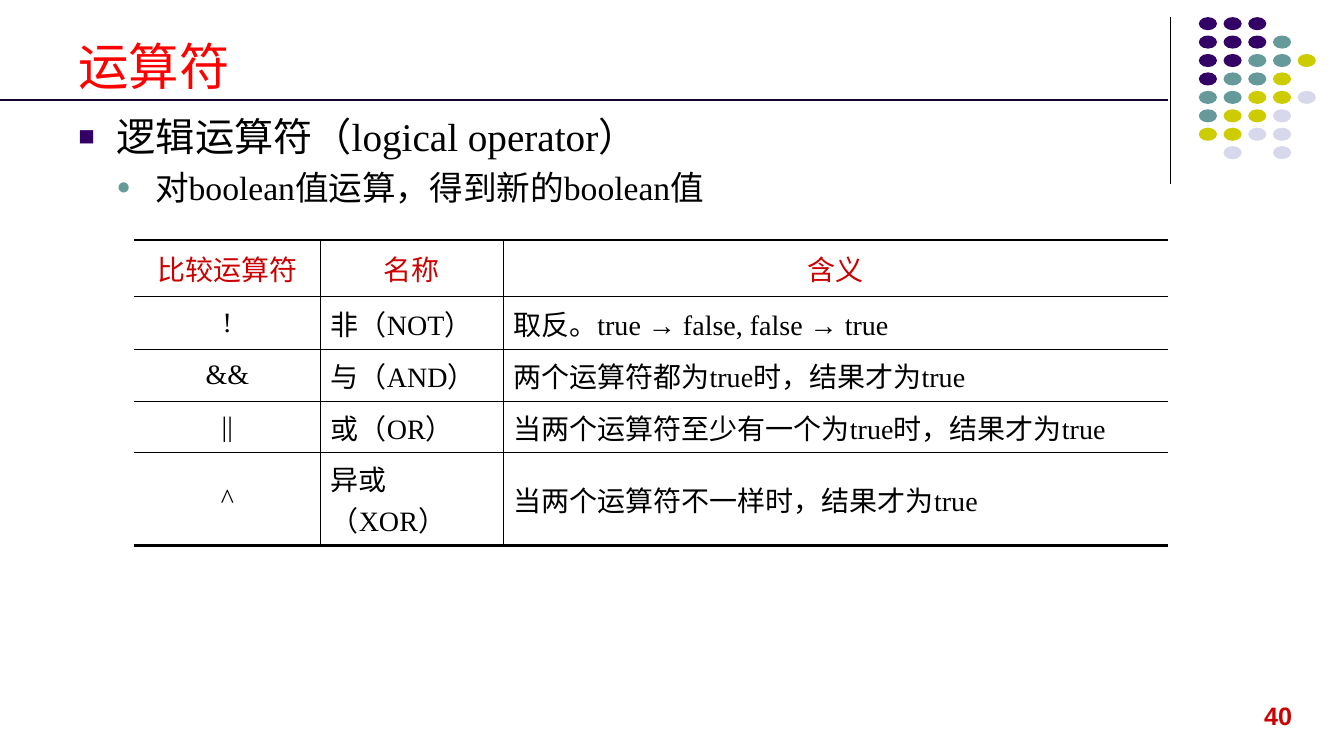
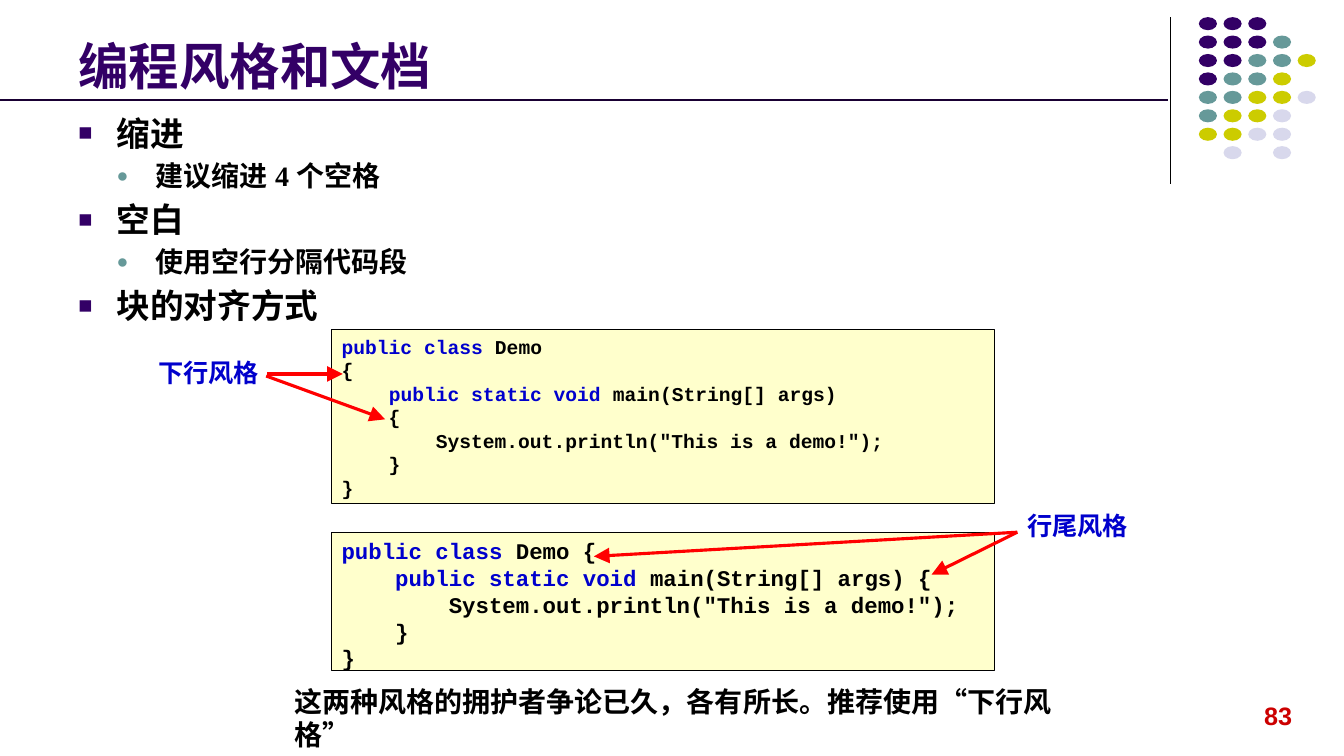
from dataclasses import dataclass

from lxml import etree
from pptx import Presentation
from pptx.dml.color import RGBColor
from pptx.enum.shapes import MSO_CONNECTOR as Connector, MSO_SHAPE as Shape
from pptx.enum.text import MSO_ANCHOR as Anchor, PP_ALIGN as Align
from pptx.oxml.ns import qn
from pptx.util import Inches, Pt


@dataclass(frozen=True)
class Theme:
    black: str = "000000"
    purple: str = "330066"
    teal: str = "669999"
    lime: str = "CCCC00"
    lilac: str = "D8D8EC"
    rule: str = "190033"
    red: str = "FF0000"
    crimson: str = "CC0000"
    blue: str = "0000CC"
    cream: str = "FFFFCC"
    serif: str = "Times New Roman"
    sans: str = "Arial"
    cjk: str = "Noto Sans CJK SC"
    mono: str = "Courier New"
    roboto: str = "Roboto"
    title_size: int = 36
    table_size: int = 20
    label_size: int = 18
    note_size: int = 20
    note_leading: int = 23
    thin: float = 0.75
    cell_line: float = 1
    thick: float = 2.25


T = Theme()

DOT_COLORS = {"P": T.purple, "T": T.teal, "Y": T.lime, "L": T.lilac}
DOT_ROWS = ["PPP", "PPPT", "PPTTY", "PTTY", "TTYYL", "TYYL", "YYLL", " L L"]

# Bullet character, its colour and the text indent for each level
BULLETS = [("■", T.purple, 0.38), ("●", T.teal, 0.76)]
HANGING = 0.38

OPERATORS = [
    ("比较运算符", "名称", "含义"),
    ("!", "非（NOT）", "取反。true → false, false → true"),
    ("&&", "与（AND）", "两个运算符都为true时，结果才为true"),
    ("||", "或（OR）", "当两个运算符至少有一个为true时，结果才为true"),
    ("^", "异或（XOR）", "当两个运算符不一样时，结果才为true"),
]

KEYWORDS = ("public static void", "public class")
NEXT_LINE_CODE = """public class Demo
{
    public static void main(String[] args)
    {
        System.out.println("This is a demo!");
    }
}"""
END_OF_LINE_CODE = """public class Demo {
    public static void main(String[] args) {
        System.out.println("This is a demo!");
    }
}"""


def rgb(color):
    return RGBColor.from_string(color)


def add_run(paragraph, text, size, font, color=T.black, bold=False, east_asian=T.sans):
    run = paragraph.add_run()
    run.text = text
    run.font.size = Pt(size)
    run.font.bold = bold
    run.font.name = font
    run.font.color.rgb = rgb(color)
    latin = run._r.get_or_add_rPr().find(qn("a:latin"))
    latin.addnext(etree.Element(qn("a:ea"), typeface=east_asian))


def add_textbox(slide, left, top, width, height, anchor=Anchor.TOP, wrap=True):
    box = slide.shapes.add_textbox(*map(Inches, (left, top, width, height)))
    frame = box.text_frame
    frame.word_wrap = wrap
    frame.vertical_anchor = anchor
    return frame


def add_label(slide, left, top, width, text, color):
    frame = add_textbox(slide, left, top, width, 0.4, wrap=False)
    add_run(frame.paragraphs[0], text, T.label_size, T.sans, color, bold=True)


def add_line(slide, start, end, color, width, arrow=False):
    line = slide.shapes.add_connector(
        Connector.STRAIGHT, *map(Inches, (*start, *end)))
    line.line.color.rgb = rgb(color)
    line.line.width = Pt(width)
    if arrow:
        etree.SubElement(line.line._get_or_add_ln(), qn("a:tailEnd"),
                         type="triangle", w="lg", len="lg")
    etree.SubElement(line._element.spPr, qn("a:effectLst"))


def add_filled_shape(slide, kind, left, top, width, height, fill):
    shape = slide.shapes.add_shape(kind, *map(Inches, (left, top, width, height)))
    shape.shadow.inherit = False
    shape.fill.solid()
    shape.fill.fore_color.rgb = rgb(fill)
    shape.line.fill.background()
    return shape


def add_dots(slide):
    for row, codes in enumerate(DOT_ROWS):
        for column, code in enumerate(codes):
            if code in DOT_COLORS:
                add_filled_shape(slide, Shape.OVAL, 11.89 + column * 0.98 / 4,
                                 0.17 + row * 1.28 / 7, 0.18, 0.13, DOT_COLORS[code])


def add_base_slide(deck, title, number, title_font, title_color, bold):
    """Add a slide with the shared dots, rules, title and page number."""
    slide = deck.slides.add_slide(deck.slide_layouts[6])
    add_line(slide, (11.61, 0.17), (11.61, 1.83), T.black, T.thin)
    add_dots(slide)
    add_label(slide, 12.44, 6.9, 0.51, str(number), T.crimson)
    heading = add_textbox(slide, 0.68, 0.21, 11, 0.79, Anchor.BOTTOM)
    add_run(heading.paragraphs[0], title, T.title_size, title_font, title_color,
            bold, east_asian=title_font)
    add_line(slide, (0, 0.99), (11.58, 0.99), T.rule, 1.5)
    return slide


def set_bullet(paragraph, level):
    char, color, indent = BULLETS[level]
    props = paragraph._p.get_or_add_pPr()
    props.set("marL", str(Inches(indent)))
    props.set("indent", str(-Inches(HANGING)))
    bullet_color = etree.SubElement(props, qn("a:buClr"))
    etree.SubElement(bullet_color, qn("a:srgbClr"), val=color)
    etree.SubElement(props, qn("a:buSzPct"), val="70000")
    etree.SubElement(props, qn("a:buFont"), typeface=T.serif)
    etree.SubElement(props, qn("a:buChar"), char=char)


def add_outline(slide, items, sizes, bold=False):
    """Add bulleted text; each item is (level, [(text, font, east_asian), ...])."""
    frame = add_textbox(slide, 0.68, 1.07, 12, 5.67)
    for index, (level, parts) in enumerate(items):
        paragraph = frame.add_paragraph() if index else frame.paragraphs[0]
        paragraph.level = level
        set_bullet(paragraph, level)
        if index:
            paragraph.space_before = Pt(round(sizes[level] * 0.2, 1))
        for text, font, east_asian in parts:
            add_run(paragraph, text, sizes[level], font, bold=bold,
                    east_asian=east_asian)


def set_borders(cell, widths):
    """Draw the left, right, top and bottom borders; width 0 draws none."""
    props = cell._tc.get_or_add_tcPr()
    for position, (side, width) in enumerate(zip("LRTB", widths)):
        border = etree.Element(qn(f"a:ln{side}"), w=str(Pt(width)))
        if width:
            fill = etree.SubElement(border, qn("a:solidFill"))
            etree.SubElement(fill, qn("a:srgbClr"), val=T.black)
        else:
            etree.SubElement(border, qn("a:noFill"))
        props.insert(position, border)


def add_operator_table(slide):
    widths, heights = (1.85, 1.81, 6.59), (0.56, 0.53, 0.51, 0.51, 0.92)
    last_row, last_column = len(heights) - 1, len(widths) - 1
    table = slide.shapes.add_table(
        len(heights), len(widths), Inches(1.33), Inches(2.38),
        Inches(sum(widths)), Inches(sum(heights))).table
    table.first_row = table.horz_banding = False
    for column, width in zip(table.columns, widths):
        column.width = Inches(width)
    for row, height in zip(table.rows, heights):
        row.height = Inches(height)
    for r, texts in enumerate(OPERATORS):
        for c, text in enumerate(texts):
            cell = table.cell(r, c)
            cell.fill.background()
            cell.vertical_anchor = Anchor.MIDDLE
            set_borders(cell, (T.cell_line if c else 0,
                               T.cell_line if c < last_column else 0,
                               T.cell_line if r else T.thick,
                               T.cell_line if r < last_row else T.thick))
            paragraph = cell.text_frame.paragraphs[0]
            paragraph.alignment = Align.CENTER if r == 0 or c == 0 else Align.LEFT
            add_run(paragraph, text, T.table_size, T.serif if r else T.cjk,
                    T.black if r else T.crimson, east_asian=T.cjk)


def split_keyword(line):
    """Split a code line into (text, colour) parts around its keyword."""
    for keyword in KEYWORDS:
        if keyword in line:
            before, _, after = line.partition(keyword)
            return [(before, T.black), (keyword, T.blue), (after, T.black)]
    return [(line, T.black)]


def add_code(slide, top, height, code, size):
    panel = add_filled_shape(slide, Shape.RECTANGLE, 3.29, top, 6.57, height, T.cream)
    panel.line.color.rgb = rgb(T.black)
    panel.line.width = Pt(T.thin)
    frame = panel.text_frame
    frame.word_wrap = True
    frame.vertical_anchor = Anchor.TOP
    for index, line in enumerate(code.split("\n")):
        paragraph = frame.add_paragraph() if index else frame.paragraphs[0]
        paragraph.alignment = Align.LEFT
        for text, color in split_keyword(line):
            if text:
                add_run(paragraph, text, size, T.mono, color, bold=True)


def add_note(slide, text):
    paragraph = add_textbox(slide, 2.82, 6.76, 8.06, 0.44).paragraphs[0]
    paragraph.line_spacing = Pt(T.note_leading)
    add_run(paragraph, text, T.note_size, T.sans, bold=True, east_asian=T.cjk)


def build_operators(deck):
    slide = add_base_slide(deck, "运算符", 40, T.roboto, T.red, bold=False)
    add_outline(slide, [
        (0, [("逻辑运算符（", T.cjk, T.cjk), ("logical operator", T.serif, T.sans),
             ("）", T.cjk, T.cjk)]),
        (1, [("对boolean值运算，得到新的boolean值", T.serif, T.sans)]),
    ], sizes=(28, 24))
    add_operator_table(slide)


def build_code_style(deck):
    slide = add_base_slide(deck, "编程风格和文档", 83, T.sans, T.purple, bold=True)
    topics = [(0, "缩进"), (1, "建议缩进 4 个空格"), (0, "空白"),
              (1, "使用空行分隔代码段"), (0, "块的对齐方式")]
    add_outline(slide, [(level, [(text, T.serif, T.sans)]) for level, text in topics],
                sizes=(24, 20), bold=True)
    add_code(slide, 3.27, 1.73, NEXT_LINE_CODE, 14)
    add_code(slide, 5.28, 1.37, END_OF_LINE_CODE, 16)
    for start, brace in [((2.65, 3.71), (3.4, 3.71)), ((2.64, 3.73), (3.82, 4.16)),
                         ((10.09, 5.28), (5.89, 5.52)), ((10.09, 5.28), (9.24, 5.7))]:
        add_line(slide, start, brace, T.red, T.thick, arrow=True)
    add_label(slide, 1.47, 3.5, 1.21, "下行风格", T.blue)
    add_label(slide, 10.09, 5.01, 1.21, "行尾风格", T.blue)
    add_note(slide, "这两种风格的拥护者争论已久，各有所长。推荐使用“下行风格”")


def main():
    deck = Presentation()
    deck.slide_width, deck.slide_height = Inches(13.33), Inches(7.5)
    build_operators(deck)
    build_code_style(deck)
    deck.save("out.pptx")


if __name__ == "__main__":
    main()
